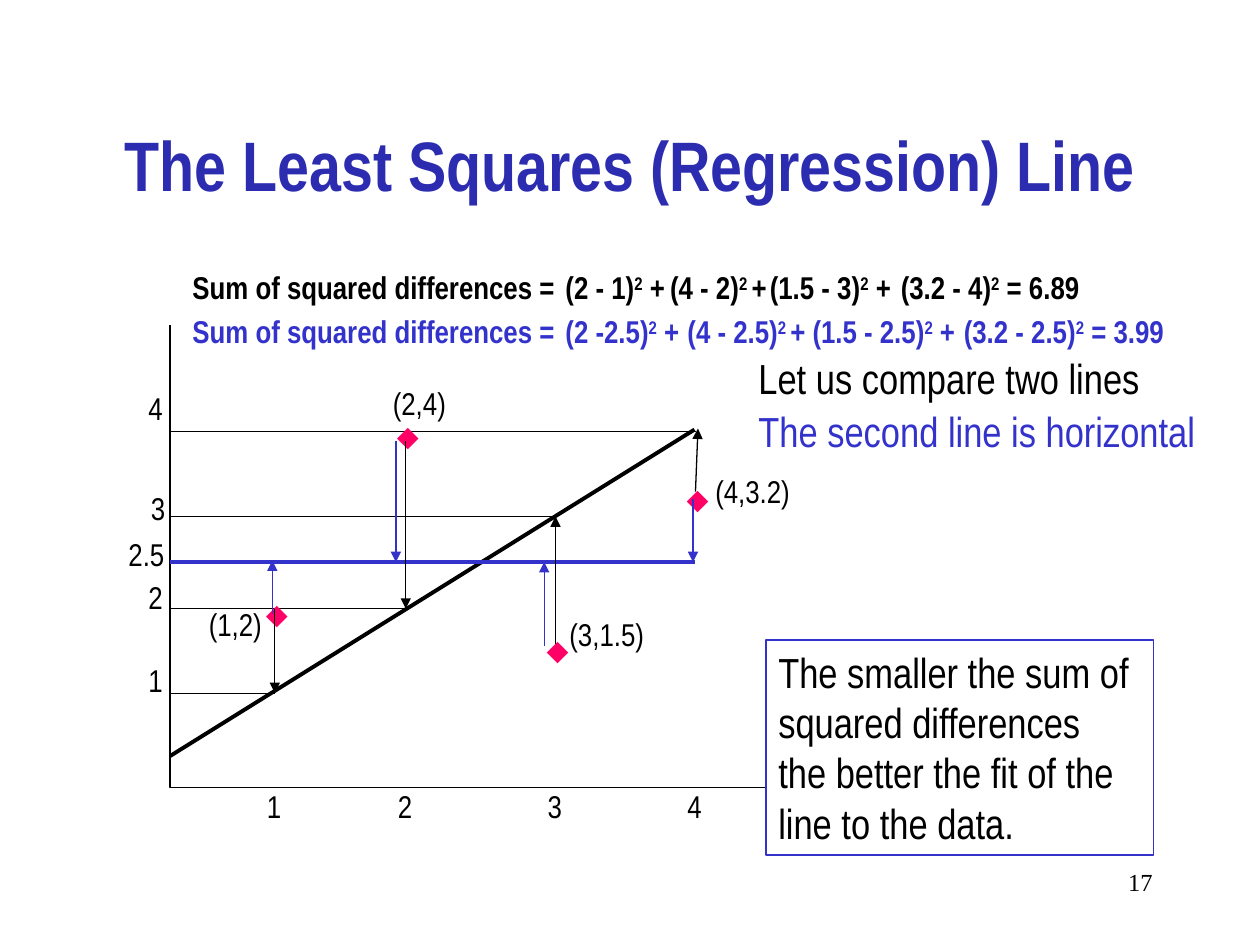
from lxml import etree
from pptx import Presentation
from pptx import util as u
from pptx.dml.color import RGBColor
from pptx.enum import dml, shapes, text
from pptx.oxml import ns

BLACK = RGBColor(0x00, 0x00, 0x00)
BLUE = RGBColor(0x33, 0x33, 0xCC)
NAVY = RGBColor(0x2C, 0x2C, 0xB0)
PINK = RGBColor(0xFF, 0x00, 0x66)
WHITE = RGBColor(0xFF, 0xFF, 0xFF)
NARROW = "Arial Narrow"

# Plot grid in cm: x of each column, y of each level
COLS = {1: 5.54, 2: 8.18, 3: 11.2, 4: 14.02}
ROWS = {1: 13.97, 2: 12.27, 3: 10.41, 4: 8.69}
LEFT, TOP, RIGHT, BASE = 3.43, 6.55, 16.56, 15.88
MEAN = 11.33

# Level label, left, top, width
LEVELS = [("1", 2.74, 13.21, 0.81), ("2", 2.74, 11.53, 0.81),
          ("2.5", 2.34, 10.67, 1.24), ("3", 2.79, 9.73, 0.81),
          ("4", 2.74, 7.72, 0.81)]

# Column, marker top, label, label box, black arrow, blue arrow
POINTS = [
    (1, 11.86, "(1,2)", (3.96, 12.07, 1.57),
     (5.54, 12.27, 5.54, 13.97), (5.49, 12.37, 5.49, 11.3)),
    (2, 8.26, "(2,4)", (7.67, 7.62, 1.57),
     (8.18, 8.89, 8.18, 12.27), (7.98, 8.89, 7.98, MEAN)),
    (3, 12.57, "(3,1.5)", (11.23, 12.27, 2.03),
     (11.2, 12.98, 11.2, 10.41), (10.97, 13.03, 10.97, MEAN)),
    (4, 9.53, "(4,3.2)", (14.17, 9.4, 2.03),
     (14.02, 9.91, 14.07, 8.64), (13.97, 10.06, 13.97, MEAN)),
]

# Top, colour and terms (left, width, text); ^ starts and ends a superscript
SUMS = [
    (5.28, BLACK, [(3.63, 7.82, "Sum of squared differences ="),
                   (11.15, 2.54, "(2 - 1)^2^ +"),
                   (13.26, 2.49, "(4 - 2)^2 ^+"),
                   (15.27, 2.97, "(1.5 - 3)^2^ +"),
                   (17.91, 4.14, "(3.2 - 4)^2^ = 6.89")]),
    (6.17, BLUE, [(3.63, 7.82, "Sum of squared differences ="),
                  (11.15, 2.84, "(2 -2.5)^2^ +"),
                  (13.61, 2.92, "(4 - 2.5)^2 ^+"),
                  (16.13, 3.43, "(1.5 - 2.5)^2^ +"),
                  (19.18, 4.57, "(3.2 - 2.5)^2^ = 3.99")]),
]


def style(run, size, color, name, bold):
    run.font.size = u.Pt(size)
    run.font.name = name
    run.font.bold = bold
    run.font.color.rgb = color


def label(slide, words, x, y, w, h=1.02, size=18, color=BLACK,
          name=NARROW, bold=False):
    box = slide.shapes.add_textbox(u.Cm(x), u.Cm(y), u.Cm(w), u.Cm(h))
    frame = box.text_frame
    frame.word_wrap = False
    frame.auto_size = text.MSO_AUTO_SIZE.SHAPE_TO_FIT_TEXT
    for i, part in enumerate(words.split("^")):
        run = frame.paragraphs[0].add_run()
        run.text = part
        style(run, size, color, name, bold)
        if i % 2:
            run._r.get_or_add_rPr().set("baseline", "30000")
    return box


def block(slide, words, box, size, align, **look):
    # Fixed-size text that wraps and keeps its frame
    shape = label(slide, words, *box, size=size, **look)
    frame = shape.text_frame
    frame.word_wrap = True
    frame.auto_size = text.MSO_AUTO_SIZE.NONE
    frame.paragraphs[0].alignment = align
    return frame


def line(slide, x1, y1, x2, y2, color=BLACK, width=0.75,
         arrow=False, dots=False):
    link = slide.shapes.add_connector(
        shapes.MSO_CONNECTOR.STRAIGHT, u.Cm(x1), u.Cm(y1), u.Cm(x2), u.Cm(y2))
    link.line.color.rgb = color
    link.line.width = u.Pt(width)
    if dots:
        link.line.dash_style = dml.MSO_LINE.ROUND_DOT
    if arrow:
        etree.SubElement(link.line._get_or_add_ln(), ns.qn("a:tailEnd"),
                         type="triangle")
    etree.SubElement(link._element.spPr, ns.qn("a:effectLst"))


def axes(slide):
    path = slide.shapes.build_freeform(u.Cm(LEFT), u.Cm(TOP))
    path.add_line_segments([(u.Cm(LEFT), u.Cm(BASE)),
                            (u.Cm(RIGHT), u.Cm(BASE))], close=False)
    shape = path.convert_to_shape()
    shape.shadow.inherit = False
    shape.fill.background()
    shape.line.color.rgb = BLACK
    shape.line.width = u.Pt(0.75)
    for n, x in COLS.items():
        label(slide, str(n), x - 0.41, 15.75, 0.81)
        line(slide, x, ROWS[n], LEFT, ROWS[n], width=0.25, dots=True)
    for words, x, y, w in LEVELS:
        label(slide, words, x, y, w)


def points(slide):
    for n, top, words, spot, black, blue in POINTS:
        label(slide, "⬥", COLS[n] - 0.43, top, 0.89, color=PINK, name="Arial")
        label(slide, words, *spot)
        line(slide, *black, arrow=True)
        line(slide, *blue, color=BLUE, arrow=True)


def note(slide, rows):
    box = slide.shapes.add_shape(shapes.MSO_SHAPE.RECTANGLE, u.Cm(15.44),
                                 u.Cm(12.9), u.Cm(7.82), u.Cm(4.34))
    box.shadow.inherit = False
    box.fill.solid()
    box.fill.fore_color.rgb = WHITE
    box.line.color.rgb = BLUE
    box.line.width = u.Pt(0.75)
    frame = box.text_frame
    frame.text = "\n".join(rows)
    frame.word_wrap = False
    frame.auto_size = text.MSO_AUTO_SIZE.SHAPE_TO_FIT_TEXT
    frame.vertical_anchor = text.MSO_ANCHOR.TOP
    for para in frame.paragraphs:
        para.alignment = text.PP_ALIGN.LEFT
        style(para.runs[0], 24, BLACK, NARROW, False)


def main():
    deck = Presentation()
    deck.slide_width, deck.slide_height = u.Cm(25.4), u.Cm(19.05)
    slide = deck.slides.add_slide(deck.slide_layouts[6])

    # Title and page number
    title = block(slide, "The Least Squares (Regression) Line",
                  (1.9, 1.7, 21.59, 3.18), 40, text.PP_ALIGN.CENTER,
                  color=NAVY, bold=True)
    title.vertical_anchor = text.MSO_ANCHOR.MIDDLE
    block(slide, "17", (18.21, 17.35, 5.28, 1.27), 14, text.PP_ALIGN.RIGHT,
          name="Times New Roman")

    # Plot: axes, the two lines, data points with their differences
    axes(slide)
    line(slide, LEFT, 15.24, 14, 8.66, width=2.25)
    line(slide, LEFT, MEAN, COLS[4], MEAN, color=BLUE, width=2.25)
    points(slide)

    # Sums of squares
    for y, color, terms in SUMS:
        for x, w, words in terms:
            label(slide, words, x, y, w, color=color, bold=True)

    # Remarks
    label(slide, "Let us compare two lines", 15.04, 6.99, 8.23, 1.27, 24)
    label(slide, "The second line is horizontal", 15.04, 8.05, 9.35, 1.27,
          24, BLUE)
    note(slide, ["The smaller the sum of", "squared differences",
                 "the better the fit of the", "line to the data."])

    deck.save("out.pptx")


if __name__ == "__main__":
    main()
